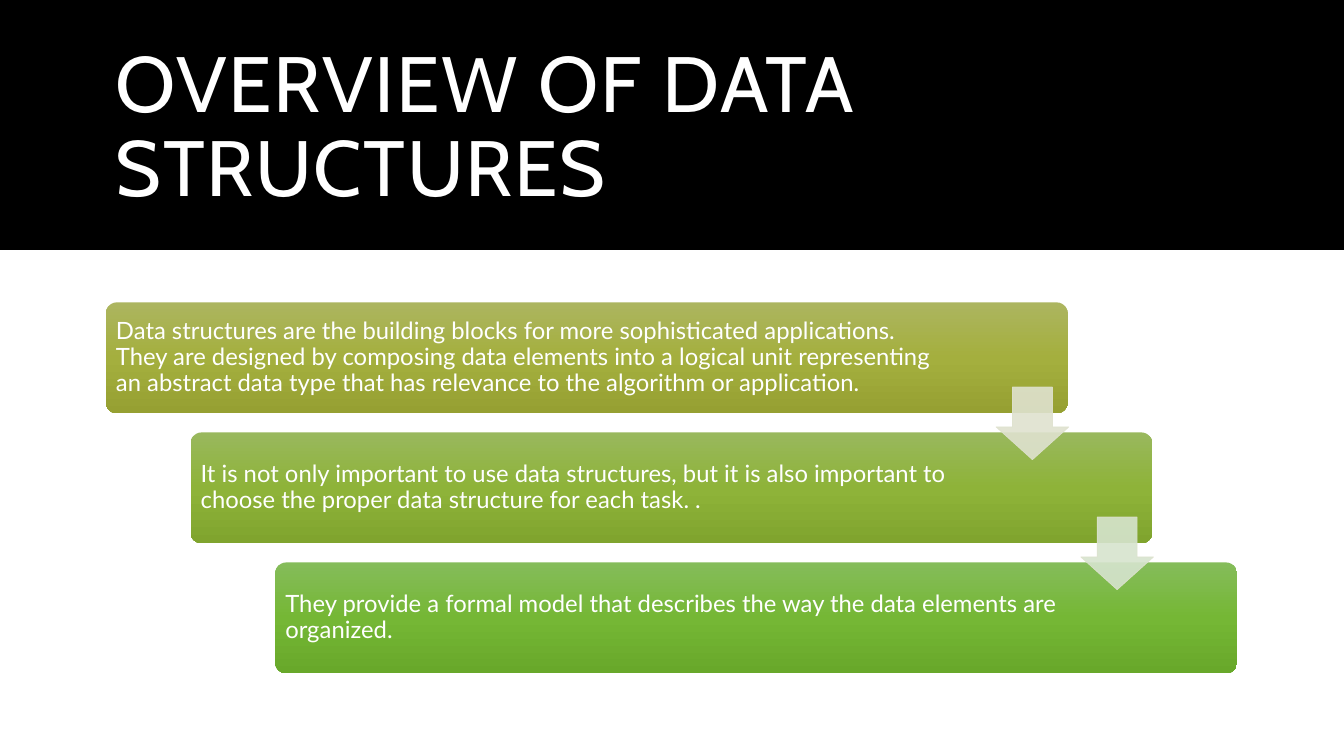
from copy import deepcopy

from lxml.etree import SubElement
from pptx import Presentation
from pptx.dml.color import RGBColor
from pptx.enum.shapes import MSO_SHAPE
from pptx.enum.text import MSO_ANCHOR, PP_ALIGN
from pptx.oxml.ns import qn
from pptx.util import Inches, Pt

COLORS = {
    "page": "FFFFFF",
    "band": "000000",
    "text": "FFFFFF",
    "arrow_line": "DFE2CF",
}
STEPS = [
    {
        "text": "Data structures are the building blocks for more sophisticated applications. "
                "They are designed by composing data elements into a logical unit representing "
                "an abstract data type that has relevance to the algorithm or application.",
        "text_width": 8.35,
        "gradient": ("ACB55F", "A4AF3E", "96A032"),
    },
    {
        "text": "It is not only important to use data structures, but it is also important to "
                "choose the proper data structure for each task. .",
        "text_width": 7.92,
        "gradient": ("99B85D", "8EB339", "80A42E"),
    },
    {
        "text": "They provide a formal model that describes the way the data elements are "
                "organized.",
        "text_width": 7.92,
        "gradient": ("85BC5A", "75B735", "68A82A"),
    },
]
ARROW_FILLS = ["DFE2CF", "D6E4CE"]
LEFT, TOP = 1.05, 3.0
STEP_X, STEP_Y = 0.84, 1.29
CARD_W, CARD_H, CARD_PAD = 9.54, 1.1, 0.03
ARROW_LEFT, ARROW_TOP, ARROW_SIZE = 9.88, 3.84, 0.72


class SlideBuilder:
    def __init__(self, prs):
        self.slide = prs.slides.add_slide(prs.slide_layouts[6])
        self.title_font = "Cabin"
        self.body_font = "Lato"

    def shape(self, kind, x, y, w, h, fill=None, adjustments=()):
        s = self.slide.shapes.add_shape(kind, Inches(x), Inches(y), Inches(w), Inches(h))
        s.shadow.inherit = False
        s.line.fill.background()
        if fill:
            s.fill.solid()
            s.fill.fore_color.rgb = RGBColor.from_string(fill)
        for i, value in enumerate(adjustments):
            s.adjustments[i] = value
        return s

    def text(self, text, x, y, w, h, font, size, inset=0.07, spacing=None):
        """Add a wrapped, vertically centred text box; spacing is between letters, in points."""
        s = self.slide.shapes.add_textbox(Inches(x), Inches(y), Inches(w), Inches(h))
        tf = s.text_frame
        tf.word_wrap = True
        tf.vertical_anchor = MSO_ANCHOR.MIDDLE
        tf.margin_left = tf.margin_right = Inches(inset)
        tf.margin_top = tf.margin_bottom = Inches(min(inset, 0.07))
        p = tf.paragraphs[0]
        p.alignment = PP_ALIGN.LEFT
        p.line_spacing = 0.9
        r = p.add_run()
        r.text = text
        r.font.name = font
        r.font.size = Pt(size)
        r.font.color.rgb = RGBColor.from_string(COLORS["text"])
        if spacing:
            r.font._element.set("spc", str(round(spacing * 100)))

    def card(self, x, y, step):
        s = self.shape(MSO_SHAPE.ROUNDED_RECTANGLE, x, y, CARD_W, CARD_H, adjustments=[0.1])
        s.fill.gradient()
        s.fill.gradient_angle = 270
        stops = s.element.spPr.find(".//" + qn("a:gsLst"))
        stops.insert(1, deepcopy(stops[0]))
        for stop, position, color in zip(s.fill.gradient_stops, (0, 0.5, 1), step["gradient"]):
            stop.position = position
            stop.color.rgb = RGBColor.from_string(color)
        self.text(step["text"], x + CARD_PAD, y + CARD_PAD, step["text_width"],
                  CARD_H - 2 * CARD_PAD, self.body_font, 17)

    def arrow(self, x, y, fill):
        s = self.shape(MSO_SHAPE.DOWN_ARROW, x, y, ARROW_SIZE, ARROW_SIZE, fill, [0.55, 0.45])
        s.line.color.rgb = RGBColor.from_string(COLORS["arrow_line"])
        s.line.width = Pt(0.5)
        for color in s.element.spPr.iter(qn("a:srgbClr")):
            SubElement(color, qn("a:alpha"), val="90000")


def main():
    prs = Presentation()
    prs.slide_width, prs.slide_height = Inches(13.33), Inches(7.5)
    builder = SlideBuilder(prs)
    builder.shape(MSO_SHAPE.RECTANGLE, 0, 0, 13.33, 7.5, COLORS["page"])
    builder.shape(MSO_SHAPE.RECTANGLE, 0, 0, 13.33, 2.48, COLORS["band"])
    builder.text("OVERVIEW OF DATA STRUCTURES", 1.05, 0.35, 11.23, 1.86,
                 builder.title_font, 56, inset=0.1, spacing=1.2)
    for i, step in enumerate(STEPS):
        builder.card(LEFT + i * STEP_X, TOP + i * STEP_Y, step)
    for i, fill in enumerate(ARROW_FILLS):
        builder.arrow(ARROW_LEFT + i * STEP_X, ARROW_TOP + i * STEP_Y, fill)
    prs.save("out.pptx")


if __name__ == "__main__":
    main()
